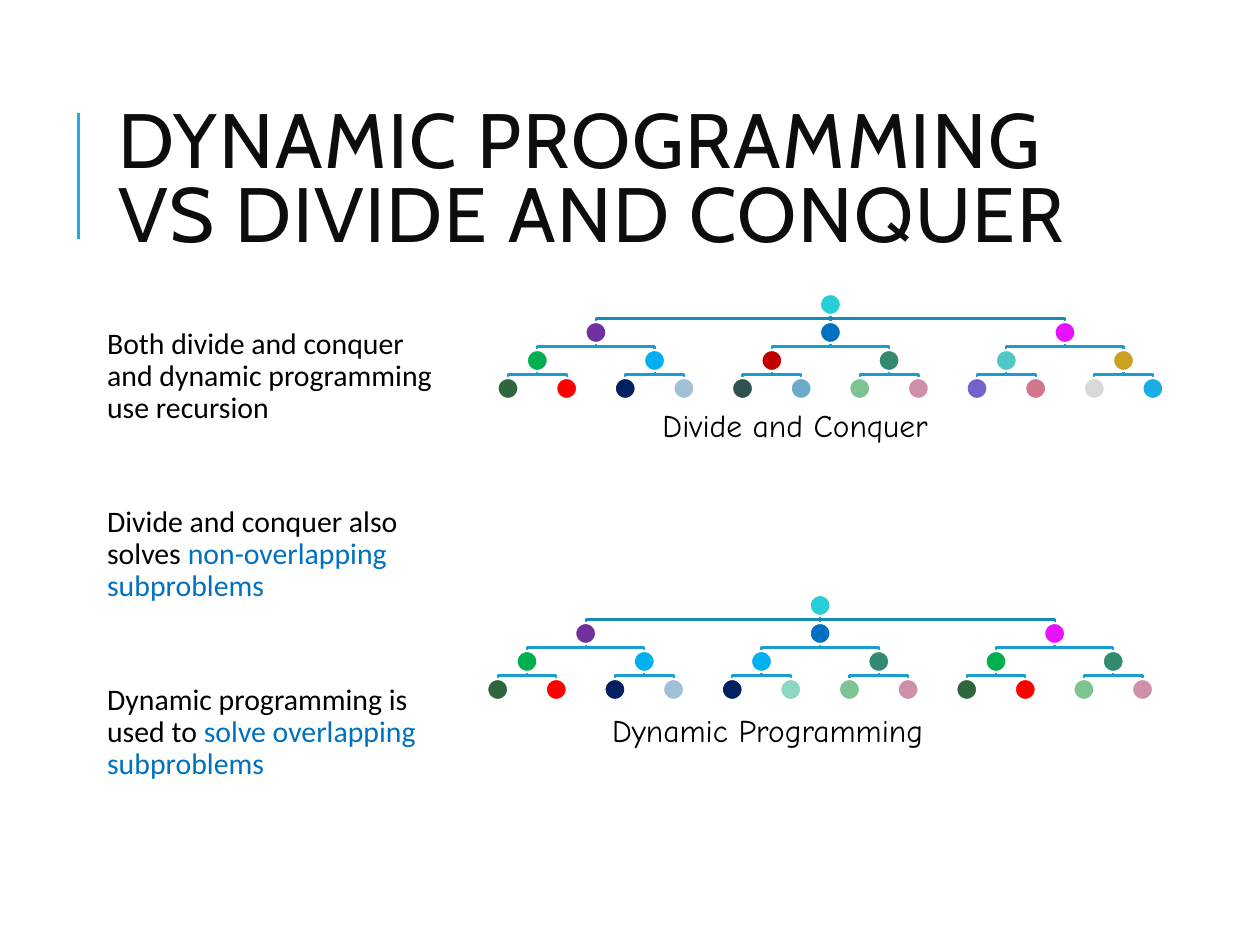
import pptx
import pptx.util
import pptx.dml.color
import pptx.enum.shapes
import pptx.enum.text
import pptx.oxml.ns
from lxml import etree

Pt = pptx.util.Pt

INK = {
    "white": "FFFFFF", "black": "000000", "title": "0D0D0D", "link": "0070C0",
    "accent": "1CADE4", "trunk": "168BB7", "branch": "199DCF",
    "aqua": "27CED7", "purple": "7030A0", "blue": "0070C0", "pink": "E710FF",
    "green": "00B050", "sky": "00B0F0", "brick": "C00000", "jade": "328B71",
    "teal": "51C7C5", "gold": "CCA123", "forest": "2F663E", "red": "FF0000",
    "navy": "002060", "mist": "A0C1D5", "slate": "305250", "steel": "6BAAC8",
    "sage": "7EC492", "mauve": "CE90A8", "violet": "7461CB", "rose": "D1778D",
    "gray": "D9D9D9", "mint": "8DD6C1",
}

TITLE = "DYNAMIC PROGRAMMING VS DIVIDE AND CONQUER"
POINTS = [
    [("Both divide and conquer and dynamic programming use recursion", "black")],
    [("Divide and conquer also solves ", "black"),
     ("non-overlapping subproblems", "link")],
    [("Dynamic programming is used to ", "black"),
     ("solve overlapping subproblems", "link")],
]
TOP = ["aqua"], ["purple", "blue", "pink"]
TREES = [
    {"x": 290.3, "y": 174, "label": "Divide and Conquer", "at": (371.5, 228.2),
     "rows": [*TOP,
              ["green", "sky", "brick", "jade", "teal", "gold"],
              ["forest", "red", "navy", "mist", "slate", "steel",
               "sage", "mauve", "violet", "rose", "gray", "accent"]]},
    {"x": 284.4, "y": 346, "label": "Dynamic Programming", "at": (342.7, 402.5),
     "rows": [*TOP,
              ["green", "sky", "sky", "jade", "green", "jade"],
              ["forest", "red", "navy", "mist", "navy", "mint",
               "sage", "mauve", "forest", "red", "sage", "mauve"]]},
]
STEP, DROP, DOT = 33.5, 16, 12


def tint(name):
    return pptx.dml.color.RGBColor.from_string(INK[name])


def stroke(item, name, width):
    item.line.color.rgb = tint(name)
    item.line.width = Pt(width)


def style(para, face, size, name):
    para.font.name = face
    para.font.size = Pt(size)
    para.font.color.rgb = tint(name)


def place(item, left, top, width, height):
    item.left, item.top = Pt(left), Pt(top)
    item.width, item.height = Pt(width), Pt(height)


def rule(shapes, start, end, name, width):
    line = shapes.add_connector(pptx.enum.shapes.MSO_CONNECTOR.STRAIGHT,
                                *map(Pt, start + end))
    stroke(line, name, width)
    etree.SubElement(line._element.spPr, pptx.oxml.ns.qn("a:effectLst"))


def elbow(shapes, start, end, name):
    if start[0] == end[0]:
        rule(shapes, start, end, name, 1.25)
        return
    mid = (start[1] + end[1]) / 2
    path = [(start[0], mid), (end[0], mid), end]
    pen = shapes.build_freeform(*map(Pt, start))
    pen.add_line_segments([(Pt(x), Pt(y)) for x, y in path], close=False)
    line = pen.convert_to_shape()
    line.fill.background()
    line.shadow.inherit = False
    stroke(line, name, 1.25)


def spread(rows):
    slots = [list(range(len(rows[-1])))]
    for row in reversed(rows[:-1]):
        kids = slots[0]
        fan = len(kids) // len(row)
        slots.insert(0, [sum(kids[i * fan:(i + 1) * fan]) / fan
                         for i in range(len(row))])
    return slots


def draw(slide, tree):
    rows = tree["rows"]
    spots = [[(tree["x"] + slot * STEP, tree["y"] + level * DROP) for slot in row]
             for level, row in enumerate(spread(rows))]
    shapes = slide.shapes.add_group_shape().shapes
    for level in range(1, len(rows)):
        fan = len(rows[level]) // len(rows[level - 1])
        for i, (x, y) in enumerate(spots[level]):
            px, py = spots[level - 1][i // fan]
            elbow(shapes, (px, py + DOT / 2), (x, y - DOT / 2),
                  "trunk" if level == 1 else "branch")
    for row, line in zip(rows, spots):
        for name, (x, y) in zip(row, line):
            dot = shapes.add_shape(pptx.enum.shapes.MSO_SHAPE.OVAL,
                                   Pt(x - DOT / 2), Pt(y - DOT / 2), Pt(DOT), Pt(DOT))
            dot.fill.solid()
            dot.fill.fore_color.rgb = tint(name)
            dot.shadow.inherit = False
            stroke(dot, "white", 1.25)


def label(slide, tree):
    box = slide.shapes.add_textbox(*map(Pt, tree["at"] + (270.7, 29)))
    box.text_frame.word_wrap = True
    para = box.text_frame.paragraphs[0]
    para.text = tree["label"]
    style(para, "Comic Neue", 18, "black")


def head(slide):
    title = slide.shapes.title
    place(title, 60.5, 46, 574, 118)
    frame = title.text_frame
    frame.auto_size = pptx.enum.text.MSO_AUTO_SIZE.NONE
    frame.vertical_anchor = pptx.enum.text.MSO_ANCHOR.MIDDLE
    para = frame.paragraphs[0]
    para.text = TITLE
    para.alignment = pptx.enum.text.PP_ALIGN.LEFT
    para.line_spacing = 0.8
    style(para, "Cabin", 44, "title")
    para.runs[0].font._element.set("spc", "100")


def body(slide):
    box = slide.placeholders[1]
    place(box, 50.4, 184.3, 203.8, 275)
    frame = box.text_frame
    frame.auto_size = pptx.enum.text.MSO_AUTO_SIZE.NONE
    frame.margin_left = frame.margin_right = Pt(3.6)
    frame.margin_top = frame.margin_bottom = Pt(3.6)
    for i, runs in enumerate(POINTS):
        para = frame.add_paragraph() if i else frame.paragraphs[0]
        para.line_spacing = 0.9
        para.space_before = Pt(44.5 if i else 0)
        para.space_after = Pt(2)
        props = para._p.get_or_add_pPr()
        props.set("marL", str(Pt(7.2)))
        props.set("indent", "0")
        etree.SubElement(props, pptx.oxml.ns.qn("a:buNone"))
        style(para, "Calibri", 17, "black")
        for text, name in runs:
            run = para.add_run()
            run.text = text
            run.font.color.rgb = tint(name)


def main():
    deck = pptx.Presentation()
    deck.slide_width, deck.slide_height = Pt(720), Pt(540)
    slide = deck.slides.add_slide(deck.slide_layouts[1])
    rule(slide.shapes, (44.8, 136.8), (44.8, 64.8), "accent", 1.5)
    head(slide)
    body(slide)
    for tree in TREES:
        draw(slide, tree)
    for tree in TREES:
        label(slide, tree)
    deck.save("out.pptx")


if __name__ == "__main__":
    main()
